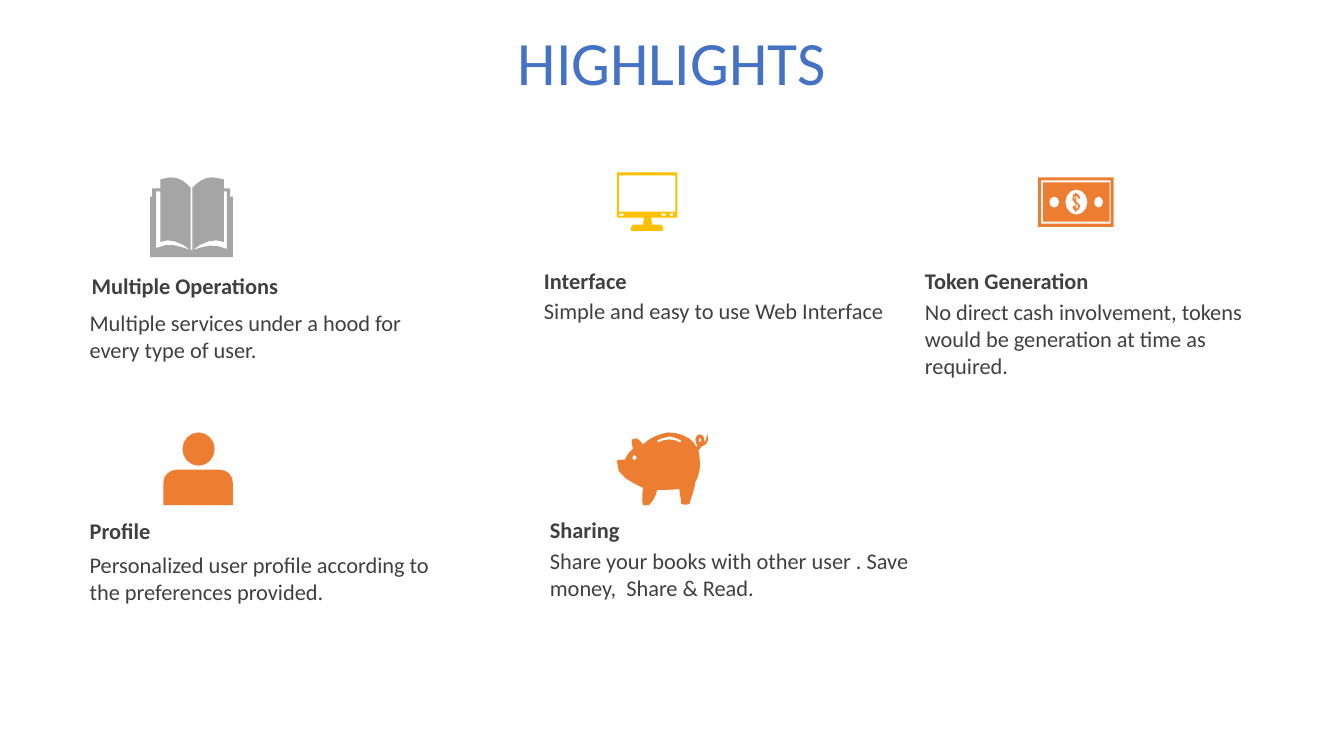
from dataclasses import dataclass
from math import ceil, dist
from typing import Any

from pptx import Presentation
from pptx import util as u
from pptx.dml.color import RGBColor
from pptx.enum import text


@dataclass(frozen=True)
class Theme:
    font: str = "Calibri"
    title_size: int = 44
    body_size: int = 16
    blue: str = "4472C4"
    ink: str = "404040"
    gray: str = "A5A5A5"
    gold: str = "FFC000"
    orange: str = "ED7D31"


@dataclass(frozen=True)
class Highlight:
    heading: str
    body: str
    heading_at: tuple[float, float]
    body_at: tuple[float, float]
    body_width: float
    icon: str
    color: str


THEME = Theme()
ICON_UNIT = u.Cm(0.0254)
CURVE_STEP = u.Cm(0.15)
MAX_CURVE_STEPS = 4
NUMBERS_PER_COMMAND = {"M": 2, "L": 2, "C": 6}
HEADING_SIZE = (9.73, 0.94)
BODY_HEIGHT = 1.63


def rect(left: float, top: float, right: float, bottom: float) -> str:
    return f"M {left} {top} L {right} {top} {right} {bottom} {left} {bottom} "


def oval(cx: float, cy: float, rx: float, ry: float) -> str:
    kx, ky = 0.55 * rx, 0.55 * ry
    return (
        f"M {cx} {cy - ry} "
        f"C {cx + kx} {cy - ry} {cx + rx} {cy - ky} {cx + rx} {cy} "
        f"{cx + rx} {cy + ky} {cx + kx} {cy + ry} {cx} {cy + ry} "
        f"{cx - kx} {cy + ry} {cx - rx} {cy + ky} {cx - rx} {cy} "
        f"{cx - rx} {cy - ky} {cx - kx} {cy - ry} {cx} {cy - ry} "
    )


BOOK = (
    "M 189 248 L 191 248 C 205 244 211 241 225 247 L 225 190 222 190 222 240 "
    "C 212 236 201 240 191 248 L 191 186 C 197 180 203 176 210 176 "
    "214 176 217 177 222 178 L 222 187 228 187 228 195 231 195 231 255 "
    "149 255 149 195 151 195 151 187 159 187 159 178 "
    "C 163 177 167 176 170 176 178 176 183 180 189 186 L 189 248 "
    "C 179 240 168 236 159 240 L 159 190 155 190 155 246 "
    "C 169 240 176 244 189 248"
)
MONITOR = (
    rect(614, 212, 619, 214) + rect(656, 212, 661, 214) + rect(665, 211.5, 668, 214.5)
    + rect(614, 174, 670, 210)
    + "M 612 171 L 672 171 672 216 646 216 647 223 656 223 658 226 658 229 "
    "626 229 626 226 628 223 638 223 639 216 612 216"
)
BANKNOTE = (
    "M 1068 202 L 1068 207 1069 207 1070 204 "
    + oval(1090, 200.5, 4.5, 5.5) + oval(1046, 200.5, 5, 5.5)
    + "M 1067 194 L 1066 195 1066 197 1067 199 "
    "M 1067 191 L 1068 191 1068 192 1070 193 1072 197 1070 197 1069 195 1068 194 "
    "1068 200 1072 204 1070 208 1068 209 1068 210 1067 210 1067 209 1066 209 "
    "1064 205 1066 204 1067 207 1067 202 1064 198 1065 193 1067 192 "
    + oval(1068, 200.5, 11, 12.5) + rect(1035, 181, 1101, 220)
    + rect(1033, 179, 1102, 222) + rect(1030, 176, 1105, 225)
)
PERSON = (
    "M 175 466 L 218 466 C 226 466 231 472 231 479 L 231 501 162 501 162 479 "
    "C 162 472 168 466 175 466 " + oval(197, 445.5, 16, 16.5)
)
PIGGY_BANK = (
    oval(629.5, 454, 2.5, 3) + oval(694.5, 436.5, 1.5, 2.5)
    + "M 664 433 C 660 434 655 435 652 437 L 653 439 "
    "C 660 435 668 435 675 439 L 676 437 C 672 435 668 433 664 433 "
    "M 663 429 C 673 429 684 433 689 440 L 691 444 "
    "C 692 443 692 443 692 442 691 440 690 439 690 436 690 433 692 431 694 431 "
    "697 430 699 433 699 437 698 438 698 437 698 439 699 438 701 439 702 430 "
    "704 438 701 442 696 443 695 444 694 446 693 447 L 694 453 "
    "C 696 463 693 473 690 478 689 487 686 492 684 500 684 501 677 501 676 500 "
    "676 495 674 490 674 485 667 486 658 486 652 486 651 492 648 497 644 501 "
    "L 638 501 C 637 501 637 490 638 484 629 479 610 473 612 457 "
    "612 456 617 456 620 456 622 451 624 449 628 445 627 442 626 436 627 436 "
    "633 432 635 438 638 441 644 434 656 430 663 429"
)

HIGHLIGHTS = [
    Highlight("Multiple Operations", "Multiple services under a hood for every type of user.",
              (2.06, 6.73), (2.01, 7.67), 9.32, BOOK, THEME.gray),
    Highlight("Interface", "Simple and easy to use Web Interface",
              (13.46, 6.6), (13.46, 7.37), 9.73, MONITOR, THEME.gold),
    Highlight("Token Generation",
              "No direct cash involvement, tokens would be generation at time as required.",
              (23.06, 6.6), (23.06, 7.39), 9.73, BANKNOTE, THEME.orange),
    Highlight("Profile", "Personalized user profile according to the preferences provided.",
              (2.01, 12.9), (2.01, 13.77), 9.32, PERSON, THEME.orange),
    Highlight("Sharing", "Share your books with other user . Save money,  Share & Read.",
              (13.61, 12.88), (13.61, 13.67), 9.73, PIGGY_BANK, THEME.orange),
]


def apply_format(target: Any, values: dict[str, Any]) -> None:
    for name, value in values.items():
        setattr(target, name, value)


def add_text(s: Any, content: str, at: tuple[float, float], size: tuple[float, float],
             font: dict[str, Any], color: str, frame: dict[str, Any],
             paragraph: dict[str, Any]) -> None:
    sp = s.shapes.add_textbox(*(u.Cm(n) for n in at + size))
    tf = sp.text_frame
    apply_format(tf, {"word_wrap": True, **frame})
    p = tf.paragraphs[0]
    apply_format(p, paragraph)
    r = p.add_run()
    r.text = content
    apply_format(r.font, {"name": THEME.font, **font})
    r.font.color.rgb = RGBColor.from_string(color)


def flatten(outline: str) -> list[list[tuple[float, float]]]:
    contours: list[list[tuple[float, float]]] = []
    command, numbers = "", []
    for token in outline.split():
        if token in NUMBERS_PER_COMMAND:
            command = token
            continue
        numbers.append(float(token) * ICON_UNIT)
        if len(numbers) < NUMBERS_PER_COMMAND[command]:
            continue
        points = list(zip(numbers[::2], numbers[1::2]))
        numbers = []
        if command == "M":
            contours.append(points)
        elif command == "L":
            contours[-1] += points
        else:
            start = contours[-1][-1]
            steps = min(MAX_CURVE_STEPS, ceil(dist(start, points[-1]) / CURVE_STEP))
            bends = list(zip(start, *points))
            for step in range(1, steps + 1):
                t = step / steps
                x, y = ((1 - t) ** 3 * a + 3 * (1 - t) ** 2 * t * b
                        + 3 * (1 - t) * t ** 2 * c + t ** 3 * d for a, b, c, d in bends)
                contours[-1].append((x, y))
    return contours


def add_icon(s: Any, outline: str, color: str) -> None:
    first, *others = flatten(outline)
    builder = s.shapes.build_freeform(*first[0])
    builder.add_line_segments(first[1:])
    for contour in others:
        builder.move_to(*contour[0])
        builder.add_line_segments(contour[1:])
    sp = builder.convert_to_shape()
    sp.shadow.inherit = False
    sp.fill.solid()
    sp.fill.fore_color.rgb = RGBColor.from_string(color)
    sp.line.fill.background()


def main() -> None:
    prs = Presentation()
    apply_format(prs, {"slide_width": u.Cm(33.87), "slide_height": u.Cm(19.05)})
    s = prs.slides.add_slide(prs.slide_layouts[6])
    add_text(s, "HIGHLIGHTS", (0, 0), (33.87, 3.28), {"size": u.Pt(THEME.title_size)},
             THEME.blue, {"vertical_anchor": text.MSO_ANCHOR.MIDDLE},
             {"alignment": text.PP_ALIGN.CENTER, "line_spacing": 0.9})
    body_font = {"size": u.Pt(THEME.body_size)}
    grow = {"auto_size": text.MSO_AUTO_SIZE.SHAPE_TO_FIT_TEXT}
    for item in HIGHLIGHTS:
        add_icon(s, item.icon, item.color)
        add_text(s, item.heading, item.heading_at, HEADING_SIZE,
                 {**body_font, "bold": True}, THEME.ink, grow, {})
        add_text(s, item.body, item.body_at, (item.body_width, BODY_HEIGHT),
                 body_font, THEME.ink, grow, {})
    prs.save("out.pptx")


if __name__ == "__main__":
    main()
